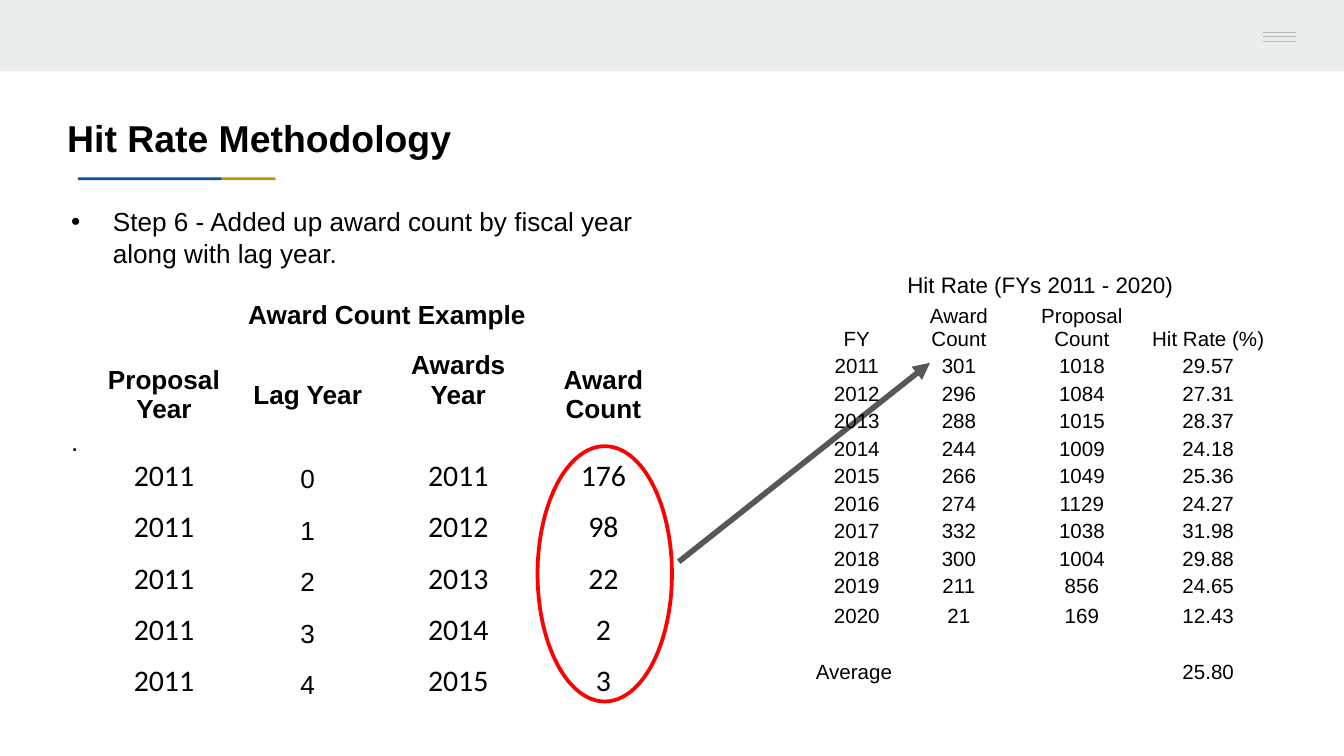
"""Build the Hit Rate Methodology slide with its two linked tables."""
from dataclasses import dataclass

from lxml.etree import SubElement
from pptx import Presentation
from pptx.dml.color import RGBColor
from pptx.enum.shapes import MSO_CONNECTOR, MSO_SHAPE
from pptx.enum.text import MSO_ANCHOR, MSO_AUTO_SIZE, PP_ALIGN
from pptx.oxml.ns import qn
from pptx.util import Inches, Pt

NO_GRID_STYLE = "{2D5ABB26-0587-4C30-8999-92F81FD0307C}"


@dataclass(frozen=True)
class Bar:
    left: float
    top: float
    width: float
    height: float
    color: str


@dataclass(frozen=True)
class Line:
    start: tuple[float, float]
    end: tuple[float, float]
    color: str
    weight: float
    arrow: bool = False


@dataclass(frozen=True)
class CellStyle:
    size: float
    font: str = "Arial"
    bold: bool = False
    anchor: MSO_ANCHOR = MSO_ANCHOR.BOTTOM
    bottom: float = 0


@dataclass(frozen=True)
class Grid:
    left: float
    top: float
    widths: list[float]
    heights: list[float]
    rows: list[list[str]]
    styles: list[list[CellStyle]]


def rgb(color: str) -> RGBColor:
    return RGBColor.from_string(color)


def place(shape, left: float, top: float, width: float, height: float) -> None:
    shape.left, shape.top = Inches(left), Inches(top)
    shape.width, shape.height = Inches(width), Inches(height)


def write(paragraph, text: str, *, size: float, font: str = "Arial", bold: bool = False,
          color: str = "000000", align: PP_ALIGN = PP_ALIGN.LEFT, before: float = 0) -> None:
    paragraph.alignment = align
    paragraph.space_before = Pt(before)
    if not text:
        SubElement(paragraph._p, qn("a:endParaRPr"), sz=str(int(size * 100)))
        return
    run = paragraph.add_run()
    run.text = text
    run.font.size, run.font.name, run.font.bold = Pt(size), font, bold
    run.font.color.rgb = rgb(color)


def set_bullet(paragraph, indent: float, character: str = "") -> None:
    properties = paragraph._p.get_or_add_pPr()
    properties.set("marL", str(Inches(indent)))
    properties.set("indent", str(-Inches(indent)))
    if character:
        SubElement(properties, qn("a:buFont"), typeface="Arial")
        SubElement(properties, qn("a:buChar"), char=character)
    else:
        SubElement(properties, qn("a:buNone"))


def draw_bar(slide, bar: Bar) -> None:
    rectangle = slide.shapes.add_shape(
        MSO_SHAPE.RECTANGLE, Inches(bar.left), Inches(bar.top), Inches(bar.width), Inches(bar.height))
    rectangle.shadow.inherit = False
    rectangle.fill.solid()
    rectangle.fill.fore_color.rgb = rgb(bar.color)
    rectangle.line.fill.background()


def draw_line(slide, line: Line) -> None:
    connector = slide.shapes.add_connector(
        MSO_CONNECTOR.STRAIGHT, *map(Inches, line.start), *map(Inches, line.end))
    connector.line.color.rgb = rgb(line.color)
    connector.line.width = Pt(line.weight)
    if line.arrow:
        SubElement(connector.line._get_or_add_ln(), qn("a:tailEnd"), type="triangle")
    SubElement(connector._element.spPr, qn("a:effectLst"))


def draw_highlight(slide, left: float, top: float, width: float, height: float) -> None:
    ring = slide.shapes.add_shape(
        MSO_SHAPE.OVAL, Inches(left), Inches(top), Inches(width), Inches(height))
    ring.shadow.inherit = False
    ring.fill.background()
    ring.line.color.rgb = rgb("FF0000")
    ring.line.width = Pt(2)


def draw_grid(slide, grid: Grid) -> None:
    frame = slide.shapes.add_table(
        len(grid.rows), len(grid.widths), Inches(grid.left), Inches(grid.top),
        Inches(sum(grid.widths)), Inches(sum(grid.heights)))
    table = frame.table
    table.first_row = table.horz_banding = False
    next(table._tbl.iter(qn("a:tableStyleId"))).text = NO_GRID_STYLE
    for column, width in zip(table.columns, grid.widths):
        column.width = Inches(width)
    for row, height in zip(table.rows, grid.heights):
        row.height = Inches(height)
    table.cell(0, 0).merge(table.cell(0, len(grid.widths) - 1))
    for row, texts, styles in zip(table.rows, grid.rows, grid.styles):
        for cell, text, style in zip(row.cells, texts, styles):
            cell.fill.background()
            cell.margin_left = cell.margin_right = cell.margin_top = 0
            cell.margin_bottom = Inches(style.bottom)
            cell.vertical_anchor = style.anchor
            write(cell.text_frame.paragraphs[0], text, size=style.size, font=style.font,
                  bold=style.bold, align=PP_ALIGN.CENTER)


def award_example() -> Grid:
    counts = [176, 98, 22, 2, 3]
    heading = CellStyle(14, bold=True, anchor=MSO_ANCHOR.MIDDLE)
    raised = CellStyle(14, bold=True, anchor=MSO_ANCHOR.MIDDLE, bottom=0.22)
    year, lag_year = CellStyle(16, "Calibri"), CellStyle(14)
    rows = [["Award Count Example", "", "", ""],
            ["Proposal Year", "Lag Year", "Awards Year", "Award Count"]]
    rows += [["2011", str(lag), str(2011 + lag), str(count)] for lag, count in enumerate(counts)]
    styles = [[heading] * 4, [heading, heading, raised, heading]]
    styles += [[year, lag_year, year, year]] * len(counts)
    heights = [0.38, 0.8, 0.34] + [1.53 / 4] * 4
    return Grid(0.73, 2.16, [0.98, 1.16, 1.08, 1.08], heights, rows, styles)


def hit_rates() -> Grid:
    awards = [301, 296, 288, 244, 266, 274, 332, 300, 211, 21]
    proposals = [1018, 1084, 1015, 1009, 1049, 1129, 1038, 1004, 856, 169]
    rows = [["Hit Rate (FYs 2011 - 2020)", "", "", ""],
            ["FY", "Award Count", "Proposal Count", "Hit Rate (%)"]]
    rows += [[str(2011 + index), str(award), str(proposal), f"{100 * award / proposal:.2f}"]
             for index, (award, proposal) in enumerate(zip(awards, proposals))]
    rows += [["", "", "", ""], ["Average ", "", "", "25.80"]]
    styles = [[CellStyle(12, anchor=MSO_ANCHOR.MIDDLE)] * 4] + [[CellStyle(11)] * 4] * 13
    heights = [0.23, 0.37] + [1.84 / 9] * 9 + [0.22, 0.2, 0.22]
    return Grid(6.04, 2.01, [0.67, 0.85, 0.98, 0.9], heights, rows, styles)


def fill_text(slide) -> None:
    title, body = slide.shapes.title, slide.placeholders[1]
    place(title, 0.4, 0.8, 7.6, 0.44)
    place(body, 0.43, 1.48, 4.72, 2.69)
    for placeholder in (title, body):
        placeholder.text_frame.word_wrap = True
        placeholder.text_frame.auto_size = MSO_AUTO_SIZE.NONE
    title.text_frame.vertical_anchor = MSO_ANCHOR.MIDDLE
    body.text_frame.vertical_anchor = MSO_ANCHOR.TOP
    write(title.text_frame.paragraphs[0], "Hit Rate Methodology", size=20, bold=True)
    step = body.text_frame.paragraphs[0]
    set_bullet(step, 0.31, "•")
    write(step, "Step 6 - Added up award count by fiscal year along with lag year.", size=14)
    closing = body.text_frame.add_paragraph()
    set_bullet(closing, 0)
    write(closing, ".", size=14, before=84)


def main() -> None:
    presentation = Presentation()
    presentation.slide_width = Inches(10)
    presentation.slide_height = presentation.slide_width * 9 // 16
    slide = presentation.slides.add_slide(presentation.slide_layouts[1])
    fill_text(slide)
    for bar in (Bar(0, 0, 10, 0.53, "E9EDEE"),
                Bar(0.58, 1.32, 1.07, 0.02, "0B5394"),
                Bar(1.65, 1.32, 0.4, 0.02, "BF9000")):
        draw_bar(slide, bar)
    for height in (0.24, 0.27, 0.31):
        draw_line(slide, Line((9.4, height), (9.64, height), "B7B7B7", 0.75))
    draw_grid(slide, award_example())
    draw_highlight(slide, 4, 3.32, 1, 1.9)
    draw_line(slide, Line((5.05, 4.18), (6.92, 2.7), "575757", 3, arrow=True))
    draw_grid(slide, hit_rates())
    presentation.save("out.pptx")


if __name__ == "__main__":
    main()
